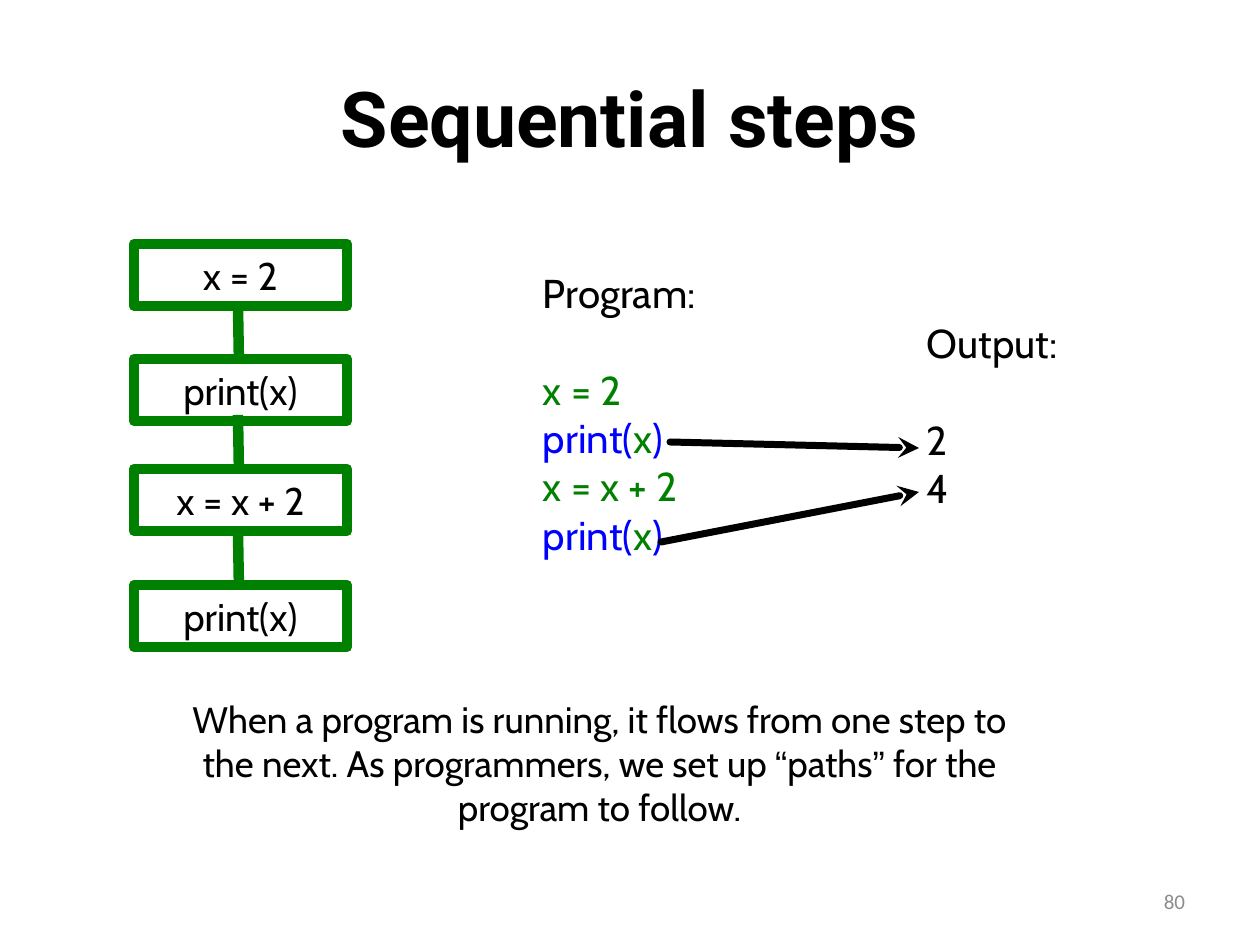
from lxml import etree
from pptx import Presentation
from pptx.dml.color import RGBColor
from pptx.enum.shapes import MSO_CONNECTOR, MSO_SHAPE
from pptx.enum.text import MSO_ANCHOR, PP_ALIGN
from pptx.oxml.ns import qn
from pptx.util import Emu, Pt

BLACK = RGBColor(0x00, 0x00, 0x00)
GREEN = RGBColor(0x00, 0x80, 0x00)
BLUE = RGBColor(0x00, 0x00, 0xFF)
GRAY = RGBColor(0x8C, 0x8C, 0x8C)
LEFT, CENTER, RIGHT = PP_ALIGN.LEFT, PP_ALIGN.CENTER, PP_ALIGN.RIGHT
MIDDLE = MSO_ANCHOR.MIDDLE
RECTANGLE = MSO_SHAPE.RECTANGLE
STRAIGHT = MSO_CONNECTOR.STRAIGHT
BODY_FONT = "Cabin"
QUOTE_FONT = "Arial"


def px(length):
    return Emu(round(length * 914400 / 126))


class SlideBuilder:
    def __init__(self, page):
        self.page = page

    def fill_frame(self, shape, paragraphs, size, align=LEFT, font=BODY_FONT,
                   color=BLACK, bold=False, inset=(0, 0), gaps=None):
        frame = shape.text_frame
        frame.word_wrap = True
        frame.vertical_anchor = MIDDLE
        frame.margin_left = frame.margin_right = px(inset[0])
        frame.margin_top = frame.margin_bottom = px(inset[1])
        for index, spans in enumerate(paragraphs):
            para = frame.paragraphs[0] if index == 0 else frame.add_paragraph()
            para.alignment = align
            para.font.name = font
            para.font.size = Pt(size)
            para.font.bold = bold
            para.font.color.rgb = color
            if gaps and index in gaps:
                para.space_before = Pt(gaps[index])
            for words, span_color, span_font in spans:
                span = para.add_run()
                span.text = words
                if span_color is not None:
                    span.font.color.rgb = span_color
                if span_font:
                    span.font.name = span_font

    def text(self, left, top, width, height, paragraphs, size, **style):
        box = self.page.shapes.add_textbox(px(left), px(top), px(width), px(height))
        self.fill_frame(box, paragraphs, size, **style)

    def step(self, left, top, width, height, label):
        box = self.page.shapes.add_shape(
            RECTANGLE, px(left), px(top), px(width), px(height))
        box.shadow.inherit = False
        box.fill.background()
        box.line.color.rgb = GREEN
        box.line.width = Pt(6)
        etree.SubElement(box.line._get_or_add_ln(), qn("a:round"))
        self.fill_frame(box, [plain(label)], 22, align=CENTER)

    def line(self, start, end, color, width, arrow=False):
        connector = self.page.shapes.add_connector(
            STRAIGHT, px(start[0]), px(start[1]), px(end[0]), px(end[1]))
        connector.line.color.rgb = color
        connector.line.width = Pt(width)
        if arrow:
            outline = connector.line._get_or_add_ln()
            outline.set("cap", "rnd")
            etree.SubElement(outline, qn("a:round"))
            etree.SubElement(outline, qn("a:headEnd"), type="stealth")
        etree.SubElement(connector._element.spPr, qn("a:effectLst"))


def plain(words, color=None):
    return [(words, color, None)]


def main():
    deck = Presentation()
    deck.slide_width, deck.slide_height = px(1260), px(945)
    builder = SlideBuilder(deck.slides.add_slide(deck.slide_layouts[6]))

    builder.text(63, 38, 1134, 157, [plain("Sequential steps")], 44,
                 align=CENTER, font="Roboto", bold=True, inset=(12, 6))
    builder.text(904, 876, 293, 50, [plain("80")], 12,
                 align=RIGHT, font="Calibri", color=GRAY, inset=(12, 6))

    print_call = [("print(", BLUE, None), ("x", GREEN, None), (")", BLUE, None)]
    program = [plain("Program:"), plain("x = 2", GREEN), print_call,
               plain("x = x + 2", GREEN), print_call]
    output = [plain("Output:"), plain("2"), plain("4")]
    builder.text(543, 244, 169, 338, program, 23, gaps={1: 28})
    builder.text(927, 305, 155, 220, output, 23, gaps={1: 28})

    steps = [(244, "x = 2"), (359, "print(x)"), (469, "x = x + 2"), (585, "print(x)")]
    for index, (top, label) in enumerate(steps):
        builder.step(134, top, 213, 62, label)
        if index:
            builder.line((239, top + 4), (238, top - 54), GREEN, 6)

    builder.line((919, 448), (670, 442), BLACK, 4, arrow=True)
    builder.line((919, 492), (661, 542), BLACK, 4, arrow=True)

    summary = [
        ("When a program is running, it flows from one step to the next. "
         "As programmers, we set up ", None, None),
        ("“", None, QUOTE_FONT), ("paths", None, None), ("”", None, QUOTE_FONT),
        (" for the program to follow.", None, None),
    ]
    builder.text(170, 708, 859, 110, [summary], 21, align=CENTER)
    deck.save("out.pptx")


if __name__ == "__main__":
    main()
